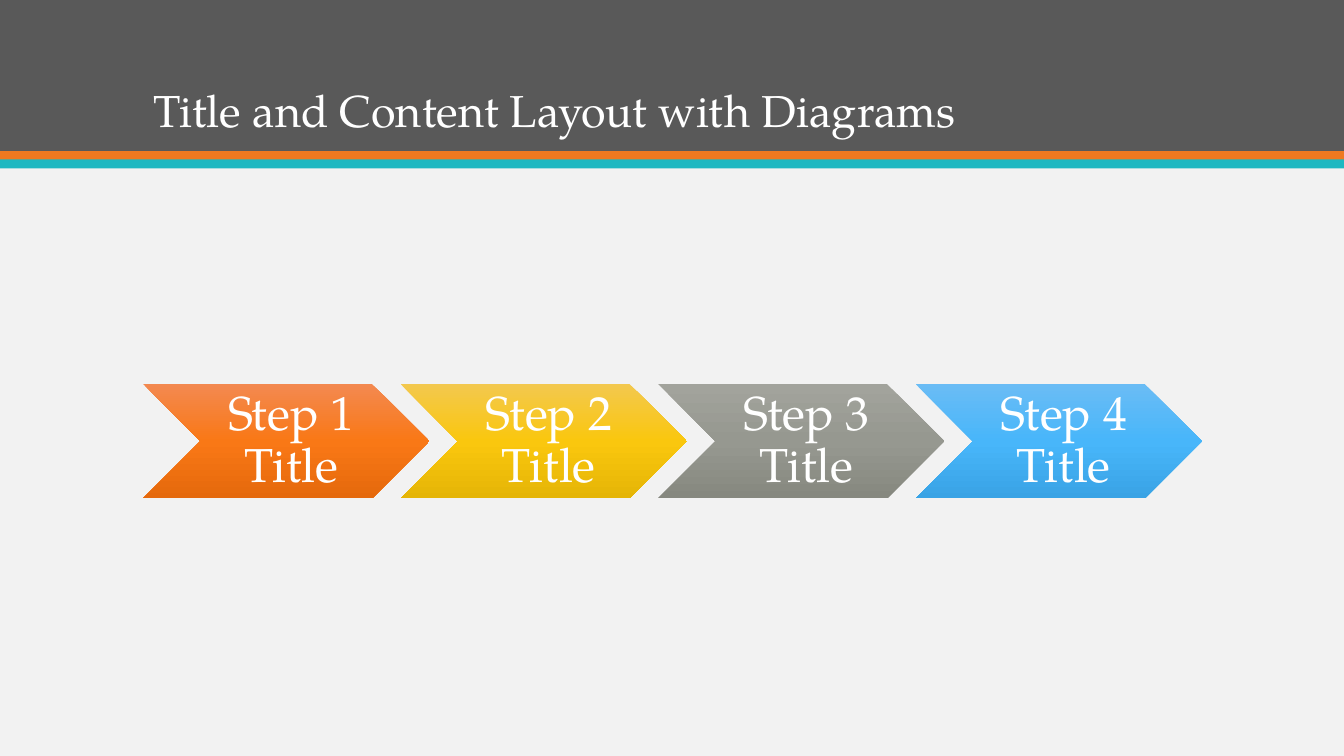
"""Build a title slide with a four-step chevron process."""
from copy import deepcopy
from dataclasses import dataclass

from pptx import Presentation
from pptx.dml.color import RGBColor
from pptx.enum.shapes import MSO_SHAPE
from pptx.enum.text import MSO_ANCHOR, PP_ALIGN
from pptx.oxml.ns import qn
from pptx.util import Inches, Pt

RECTANGLE, CHEVRON = MSO_SHAPE.RECTANGLE, MSO_SHAPE.CHEVRON
MIDDLE, BOTTOM = MSO_ANCHOR.MIDDLE, MSO_ANCHOR.BOTTOM
LEFT, CENTER = PP_ALIGN.LEFT, PP_ALIGN.CENTER

TITLE = "Title and Content Layout with Diagrams"
STEPS = [
    ("Step 1 Title", ("F38950", "F97816", "E5690C")),
    ("Step 2 Title", ("F3C84E", "FAC70E", "E5B506")),
    ("Step 3 Title", ("A2A39C", "969890", "86887F")),
    ("Step 4 Title", ("6ABCF5", "48B6FA", "39A3E5")),
]


@dataclass(frozen=True)
class Theme:
    font: str = "TeX Gyre Pagella"
    background: str = "F2F2F2"
    header: str = "595959"
    upper_stripe: str = "EF7920"
    lower_stripe: str = "1EB8C1"
    text: str = "FFFFFF"
    title_size: int = 32
    step_size: int = 34


THEME = Theme()
SLIDE_WIDTH, SLIDE_HEIGHT = 13.33, 7.5
BANDS = [
    (0, 1.5, THEME.header),
    (1.5, 0.09, THEME.upper_stripe),
    (1.58, 0.09, THEME.lower_stripe),
]
CONTENT_LEFT, CONTENT_WIDTH = 1.42, 10.5
STEP_TOP = 3.81
PITCH_RATIO, HEIGHT_RATIO = 0.9, 0.4
STEP_INSETS = (0.15, 0.05, 0.05, 0.05)
TITLE_INSETS = (0.1, 0.05, 0.1, 0.05)


def add_plain_shape(slide, kind, left, top, width, height):
    shape = slide.shapes.add_shape(
        kind, Inches(left), Inches(top), Inches(width), Inches(height))
    shape.shadow.inherit = False
    shape.line.fill.background()
    return shape


def add_text(slide, text, box, size, anchor, alignment, insets):
    frame = slide.shapes.add_textbox(*map(Inches, box)).text_frame
    frame.word_wrap = True
    frame.vertical_anchor = anchor
    (frame.margin_left, frame.margin_top,
     frame.margin_right, frame.margin_bottom) = map(Inches, insets)
    paragraph = frame.paragraphs[0]
    paragraph.text = text
    paragraph.alignment = alignment
    paragraph.line_spacing = 0.9
    paragraph.font.name = THEME.font
    paragraph.font.size = Pt(size)
    paragraph.font.color.rgb = RGBColor.from_string(THEME.text)


def fill_gradient(shape, colors):
    fill = shape.fill
    fill.gradient()
    fill.gradient_angle = 270
    stop_list = shape.element.spPr.find(qn("a:gradFill")).find(qn("a:gsLst"))
    stop_list.insert(1, deepcopy(stop_list[0]))
    for index, (stop, color) in enumerate(zip(fill.gradient_stops, colors)):
        stop.position = index / (len(colors) - 1)
        stop.color.rgb = RGBColor.from_string(color)


def add_steps(slide):
    width = CONTENT_WIDTH / (1 + PITCH_RATIO * (len(STEPS) - 1))
    height = width * HEIGHT_RATIO
    for index, (label, colors) in enumerate(STEPS):
        left = CONTENT_LEFT + index * width * PITCH_RATIO
        chevron = add_plain_shape(slide, CHEVRON, left, STEP_TOP, width, height)
        fill_gradient(chevron, colors)
        label_box = (left + height / 2, STEP_TOP, width - height, height)
        add_text(slide, label, label_box, THEME.step_size, MIDDLE, CENTER, STEP_INSETS)


def main():
    presentation = Presentation()
    presentation.slide_width = Inches(SLIDE_WIDTH)
    presentation.slide_height = Inches(SLIDE_HEIGHT)
    slide = presentation.slides.add_slide(presentation.slide_layouts[6])
    slide.background.fill.solid()
    slide.background.fill.fore_color.rgb = RGBColor.from_string(THEME.background)
    for top, height, color in BANDS:
        band = add_plain_shape(slide, RECTANGLE, 0, top, SLIDE_WIDTH, height)
        band.fill.solid()
        band.fill.fore_color.rgb = RGBColor.from_string(color)
    title_box = (CONTENT_LEFT, 0.28, CONTENT_WIDTH, 1.13)
    add_text(slide, TITLE, title_box, THEME.title_size, BOTTOM, LEFT, TITLE_INSETS)
    add_steps(slide)
    presentation.save("out.pptx")


if __name__ == "__main__":
    main()
